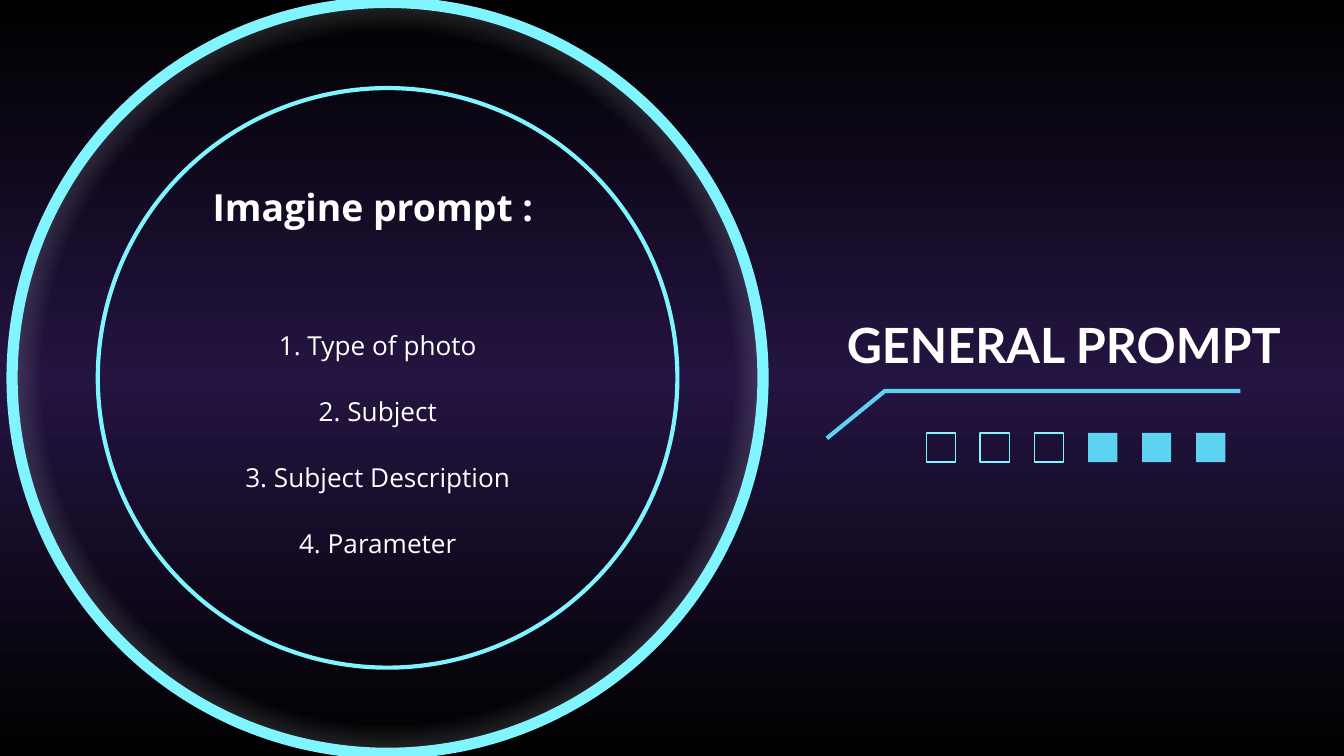
import pptx
import pptx.dml.color
import pptx.enum.shapes
import pptx.enum.text
import pptx.oxml
import pptx.oxml.ns
import pptx.util
from lxml import etree

Pt = pptx.util.Pt
SHAPE = pptx.enum.shapes.MSO_SHAPE
ALIGN = pptx.enum.text.PP_ALIGN
ANCHOR = pptx.enum.text.MSO_ANCHOR
qn = pptx.oxml.ns.qn

WHITE, BLACK, PURPLE = "FFFFFF", "000000", "241441"
CYAN, BLUE = "81F5FF", "5ED2F1"


def color(hex_value):
    return pptx.dml.color.RGBColor.from_string(hex_value)


def set_gradient(fill, properties, stops, direction):
    """Fill with stops of (percent, colour, opacity percent)."""
    fill.solid()
    gradient = etree.Element(qn("a:gradFill"), rotWithShape="1")
    stop_list = etree.SubElement(gradient, qn("a:gsLst"))
    for percent, hex_value, opacity in stops:
        stop = etree.SubElement(stop_list, qn("a:gs"), pos=str(percent * 1000))
        tint = etree.SubElement(stop, qn("a:srgbClr"), val=hex_value)
        if opacity < 100:
            etree.SubElement(tint, qn("a:alpha"), val=str(opacity * 1000))
    gradient.append(pptx.oxml.parse_xml(direction))
    properties.replace(properties.find(qn("a:solidFill")), gradient)


def style(shape, fill=None, line=None, weight=1):
    shape.shadow.inherit = False
    if fill:
        shape.fill.solid()
        shape.fill.fore_color.rgb = color(fill)
    else:
        shape.fill.background()
    if line:
        shape.line.color.rgb = color(line)
        shape.line.width = Pt(weight)
    else:
        shape.line.fill.background()
    return shape


def add_shape(slide, kind, left, top, width, height, **look):
    shape = slide.shapes.add_shape(kind, Pt(left), Pt(top), Pt(width), Pt(height))
    return style(shape, **look)


def add_text(slide, box, lines, font="Open Sans", anchor=ANCHOR.TOP, spacing=None):
    """Write lines of (text, size, bold, space after) into one centred box."""
    frame = slide.shapes.add_textbox(*(Pt(v) for v in box)).text_frame
    frame.word_wrap = True
    frame.vertical_anchor = anchor
    frame.margin_left = frame.margin_right = Pt(7.2)
    frame.margin_top = frame.margin_bottom = Pt(7.2)
    for i, (text, size, bold, after) in enumerate(lines):
        paragraph = frame.add_paragraph() if i else frame.paragraphs[0]
        paragraph.alignment = ALIGN.CENTER
        paragraph.space_after = Pt(after)
        if spacing:
            paragraph.line_spacing = spacing
        run = paragraph.add_run()
        run.text = text
        run.font.name = font
        run.font.size = Pt(size)
        run.font.bold = bold
        run.font.color.rgb = color(WHITE)


def add_background(slide):
    fill = slide.background.fill
    fill.solid()
    set_gradient(
        fill, slide.element.find(".//" + qn("p:bgPr")),
        [(0, BLACK, 100), (50, PURPLE, 100), (100, BLACK, 100)],
        f'<a:lin {pptx.oxml.ns.nsdecls("a")} ang="5400000" scaled="0"/>')


def add_prompt_disc(slide, left, top, size):
    # Glowing outer ring
    ring = add_shape(slide, SHAPE.OVAL, left, top, size, size, line=CYAN, weight=6)
    set_gradient(
        ring.fill, ring.element.spPr,
        [(0, WHITE, 0), (65, WHITE, 0), (100, BLUE, 100)],
        f'<a:path {pptx.oxml.ns.nsdecls("a")} path="circle">'
        '<a:fillToRect l="50000" t="50000" r="50000" b="50000"/></a:path>')

    # Thin inner ring, concentric with the outer one
    inner = 310.5
    inset = (size - inner) / 2
    add_shape(slide, SHAPE.OVAL, left + inset, top + inset, inner, inner,
              line=CYAN, weight=2.25)

    # Heading and parts of the prompt
    parts = ["Type of photo", "Subject", "Subject Description", "Parameter"]
    lines = [("Imagine prompt : ", 20, True, 51.4)]
    lines += [(f"{n}. {part}", 14, False, 16) for n, part in enumerate(parts, 1)]
    add_text(slide, (left + 49, top + 86.5, 293.8, 242.6), lines, spacing=1.15)


def add_title_panel(slide, left, top, width):
    # Title
    add_text(slide, (left + 2.5, top, width, 51.8),
             [("GENERAL PROMPT", 26, True, 0)], font="Lato", anchor=ANCHOR.MIDDLE)

    # Bent underline
    builder = slide.shapes.build_freeform(Pt(left), Pt(top + 76.4))
    builder.add_line_segments(
        [(Pt(left + 31), Pt(top + 51.1)), (Pt(left + 221.5), Pt(top + 51.1))],
        close=False)
    style(builder.convert_to_shape(), line=BLUE, weight=2.25)

    # Three outlined squares, then three filled ones
    outlined = {"line": CYAN, "weight": 0.75}
    filled = {"fill": BLUE}
    for i, look in enumerate([outlined] * 3 + [filled] * 3):
        add_shape(slide, SHAPE.RECTANGLE, left + 53.2 + i * 28.93, top + 73.6,
                  15.6, 15.6, **look)


def main():
    deck = pptx.Presentation()
    deck.slide_width, deck.slide_height = Pt(720), Pt(405)
    slide = deck.slides.add_slide(deck.slide_layouts[6])
    add_background(slide)
    add_prompt_disc(slide, left=6.5, top=1.3, size=402.3)
    add_title_panel(slide, left=443, top=158.4, width=249.1)
    deck.save("out.pptx")


if __name__ == "__main__":
    main()
